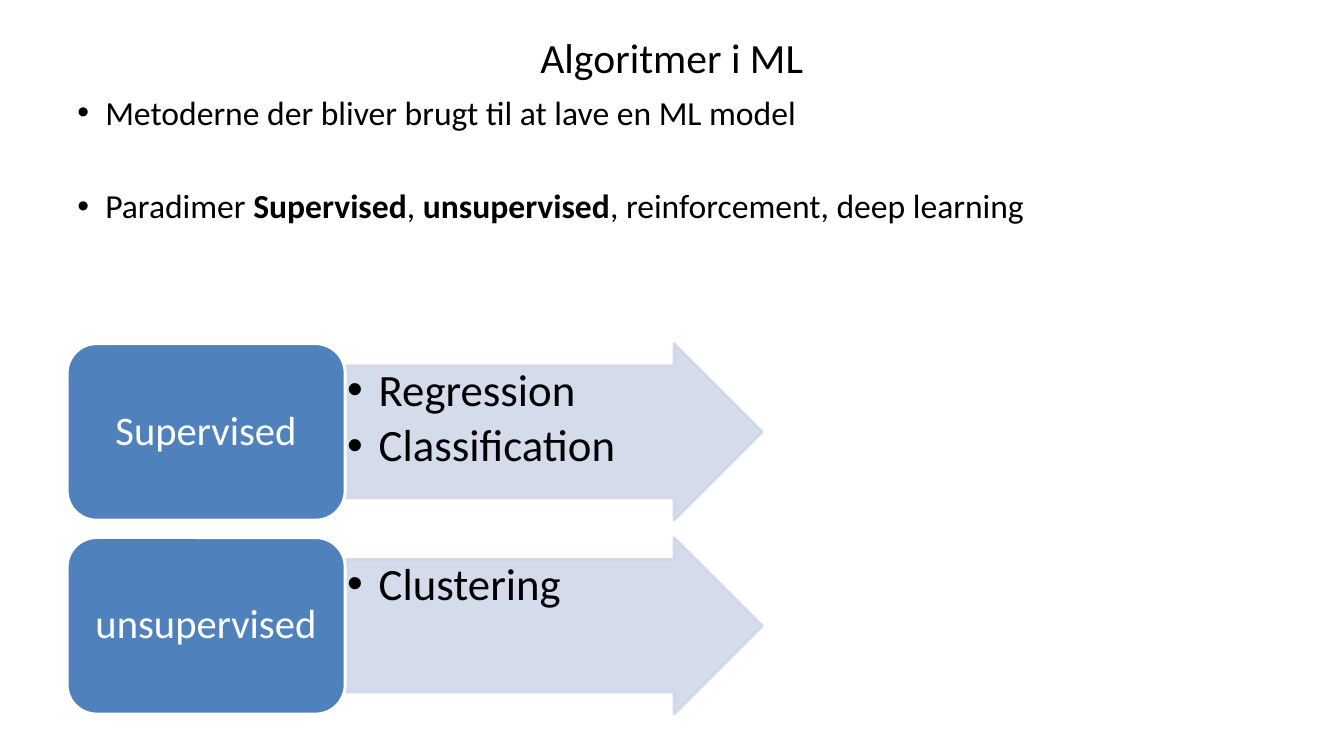
import pptx
import pptx.dml.color
import pptx.enum.shapes
import pptx.enum.text
import pptx.oxml
import pptx.oxml.ns
import pptx.util
from lxml import etree

Pt = pptx.util.Pt
RGBColor = pptx.dml.color.RGBColor
MSO_SHAPE = pptx.enum.shapes.MSO_SHAPE
MSO_ANCHOR = pptx.enum.text.MSO_ANCHOR
PP_ALIGN = pptx.enum.text.PP_ALIGN
qn = pptx.oxml.ns.qn

BLACK = RGBColor(0x00, 0x00, 0x00)
WHITE = RGBColor(0xFF, 0xFF, 0xFF)
BLUE = RGBColor(0x4F, 0x81, 0xBD)
PALE_BLUE = RGBColor(0xD0, 0xD8, 0xE8)

LEFT = 48
PARADIGM_WIDTH = 198.5
ARROW_WIDTH = 298
ROW_TOP, ROW_HEIGHT, ROW_STEP = 245.5, 126, 138.5


def add_run(paragraph, text, size, color, bold=None):
    run = paragraph.add_run()
    run.text = text
    run.font.name = "Calibri"
    run.font.size = Pt(size)
    run.font.color.rgb = color
    run.font.bold = bold


def add_block(preset, left, top, width, fill, line, margins):
    """Add a shape of row height and return it, with its text margins set."""
    block = slide.shapes.add_shape(preset, Pt(left), Pt(top), Pt(width), Pt(ROW_HEIGHT))
    block.shadow.inherit = False
    block.fill.solid()
    block.fill.fore_color.rgb = fill
    block.line.color.rgb = line
    block.line.width = Pt(2)
    frame = block.text_frame
    frame.word_wrap = True
    frame.margin_left = frame.margin_right = Pt(margins[0])
    frame.margin_top = frame.margin_bottom = Pt(margins[1])
    return block


presentation = pptx.Presentation()
presentation.slide_width = Pt(960)
presentation.slide_height = Pt(540)
slide = presentation.slides.add_slide(presentation.slide_layouts[1])

title = slide.shapes.title
title.left, title.top, title.width, title.height = Pt(LEFT), Pt(21), Pt(864), Pt(39.5)
title.text_frame.auto_size = pptx.enum.text.MSO_AUTO_SIZE.NONE
title.text_frame.vertical_anchor = MSO_ANCHOR.MIDDLE
heading = title.text_frame.paragraphs[0]
heading.alignment = PP_ALIGN.CENTER
add_run(heading, "Algoritmer i ML", 29.7, BLACK)

body = slide.placeholders[1]
body.left, body.top, body.width, body.height = Pt(LEFT), Pt(62), Pt(864), Pt(420.5)
body.text_frame.auto_size = pptx.enum.text.MSO_AUTO_SIZE.NONE
methods = body.text_frame.paragraphs[0]
paradigms = body.text_frame.add_paragraph()
paradigms.space_before = Pt(38)
for point in (methods, paradigms):
    properties = point._p.get_or_add_pPr()
    properties.set("marL", str(Pt(20)))
    properties.set("indent", str(Pt(-20)))
add_run(methods, "Metoderne der bliver brugt til at lave en ML model", 24, BLACK)
for text, bold in (
    ("Paradimer ", False),
    ("Supervised", True),
    (", ", False),
    ("unsupervised", True),
    (", reinforcement, deep learning", False),
):
    add_run(paradigms, text, 24, BLACK, bold)

rows = (
    ("Supervised", ("Regression", "Classification")),
    ("unsupervised", ("Clustering",)),
)
for index, (paradigm, tasks) in enumerate(rows):
    top = ROW_TOP + index * ROW_STEP

    arrow = add_block(MSO_SHAPE.RIGHT_ARROW, LEFT + PARADIGM_WIDTH, top, ARROW_WIDTH,
                      PALE_BLUE, PALE_BLUE, (1.5, 1.5))
    arrow.adjustments[0] = 0.75
    arrow.adjustments[1] = 0.5
    for color in arrow._element.spPr.iter(qn("a:srgbClr")):
        etree.SubElement(color, qn("a:alpha"), val="90000")
    arrow.text_frame.vertical_anchor = MSO_ANCHOR.TOP
    for number, task in enumerate(tasks):
        frame = arrow.text_frame
        item = frame.add_paragraph() if number else frame.paragraphs[0]
        item.alignment = PP_ALIGN.LEFT
        item.line_spacing = 0.9
        item.space_after = Pt(4.8)
        properties = item._p.get_or_add_pPr()
        properties.set("marL", str(Pt(22.5)))
        properties.set("indent", str(Pt(-22.5)))
        etree.SubElement(properties, qn("a:buFont"), typeface="Arial")
        etree.SubElement(properties, qn("a:buChar"), char="•")
        add_run(item, task, 32, BLACK)

    box = add_block(MSO_SHAPE.ROUNDED_RECTANGLE, LEFT, top, PARADIGM_WIDTH,
                    BLUE, WHITE, (8.5, 4.5))
    box.text_frame.vertical_anchor = MSO_ANCHOR.MIDDLE
    label = box.text_frame.paragraphs[0]
    label.alignment = PP_ALIGN.CENTER
    label.line_spacing = 0.9
    add_run(label, paradigm, 29, WHITE)

presentation.save("out.pptx")
